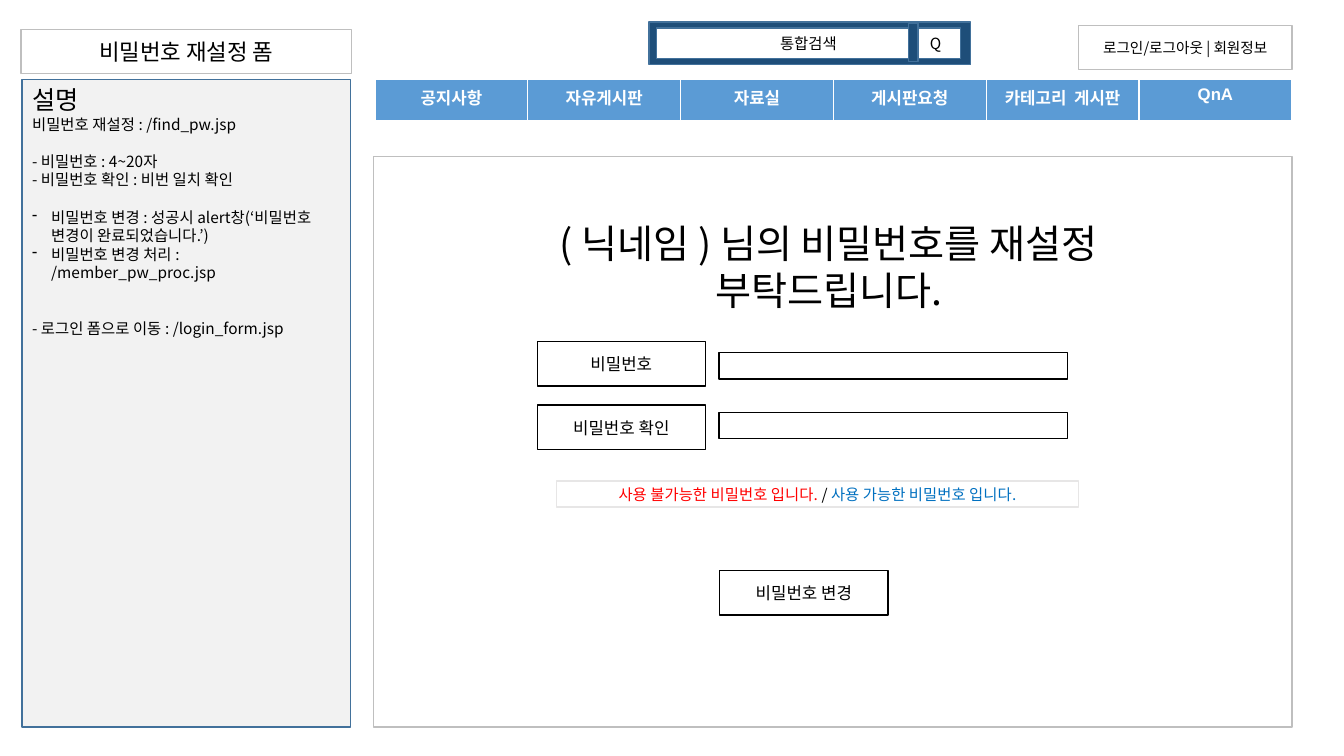
from lxml.etree import SubElement
from pptx import Presentation
from pptx.dml.color import RGBColor
from pptx.enum.shapes import MSO_SHAPE
from pptx.enum.text import MSO_ANCHOR, PP_ALIGN
from pptx.oxml.ns import qn
from pptx.util import Cm, Pt

COLORS = {
    "white": "FFFFFF", "black": "000000", "panel": "F2F2F2",
    "grey": "BFBFBF", "pale": "E7E6E6", "navy": "1E4E79",
    "outline": "42719B", "menu": "5B9BD5", "error": "FF0000", "ok": "0070C0",
}
FONT = "Noto Sans CJK KR"
BLANK_LINE = 13.3  # height of one line of 11 pt text, in points

MENU = ["공지사항", "자유게시판", "자료실", "게시판요청", "카테고리  게시판", "QnA"]
FIELDS = ["비밀번호", "비밀번호 확인"]
MESSAGE = [
    ("사용 불가능한 비밀번호 입니다. ", "error"),
    ("/ ", "black"),
    ("사용 가능한 비밀번호 입니다.", "ok"),
]
# text, size, blank lines above, bulleted
NOTES = [
    ("설명", 18, 0, False),
    ("비밀번호 재설정 : /find_pw.jsp", 11, 0, False),
    ("- 비밀번호 : 4~20자", 11, 1, False),
    ("- 비밀번호 확인 : 비번 일치 확인", 11, 0, False),
    ("비밀번호 변경 : 성공시 alert창(‘비밀번호 변경이 완료되었습니다.’)", 11, 1, True),
    ("비밀번호 변경 처리 : /member_pw_proc.jsp", 11, 0, True),
    ("- 로그인 폼으로 이동 : /login_form.jsp", 11, 2, False),
]


def color(name):
    return RGBColor.from_string(COLORS[name])


def style_span(span, size, ink="black", font=FONT, bold=False):
    span.font.size = Pt(size)
    span.font.name = font
    span.font.bold = bold
    span.font.color.rgb = color(ink)
    SubElement(span.font._element, qn("a:ea")).set("typeface", FONT)


def style_para(para, size, align=PP_ALIGN.CENTER, **look):
    para.alignment = align
    for span in para.runs:
        style_span(span, size, **look)


def add_box(shapes, box, fill="white", line="black", text="", size=12):
    shape = shapes.add_shape(MSO_SHAPE.RECTANGLE, *map(Cm, box))
    shape.shadow.inherit = False
    shape.fill.solid()
    shape.fill.fore_color.rgb = color(fill)
    shape.line.color.rgb = color(line)
    shape.line.width = Pt(1)
    if text:
        shape.text_frame.text = text
        shape.text_frame.vertical_anchor = MSO_ANCHOR.MIDDLE
        style_para(shape.text_frame.paragraphs[0], size)
    return shape


def add_label(shapes, box, text, size):
    label = shapes.add_textbox(*map(Cm, box))
    label.text_frame.word_wrap = True
    label.text_frame.text = text
    style_para(label.text_frame.paragraphs[0], size)
    return label


def add_search(page, box):
    left, top, width, height = box
    shapes = page.shapes.add_group_shape().shapes
    add_box(shapes, box, "navy", "outline")
    add_box(shapes, (left + 0.18, top + 0.15, width - 0.43, height - 0.31),
            line="outline", text="통합검색", size=11)
    add_box(shapes, (left + 6.53, top + 0.02, 0.25, height - 0.1), "navy", "outline")
    button = add_label(shapes, (left + 6.6, top + 0.02, 1.24, 1.02), "Q", 11)
    button.text_frame.vertical_anchor = MSO_ANCHOR.MIDDLE


def add_menu(page, box):
    table = page.shapes.add_table(1, len(MENU), *map(Cm, box)).table
    table.horz_banding = False
    for cell, column, text in zip(table.rows[0].cells, table.columns, MENU):
        column.width = Cm(box[2] / len(MENU))
        cell.fill.solid()
        cell.fill.fore_color.rgb = color("menu")
        cell.text_frame.text = text
        style_para(cell.text_frame.paragraphs[0], 12, ink="white", font="Arial", bold=True)


def add_dash(para):
    properties = para._p.get_or_add_pPr()
    properties.set("marL", str(Cm(0.48)))
    properties.set("indent", str(Cm(-0.48)))
    SubElement(properties, qn("a:buChar")).set("char", "-")


def add_notes(page, box):
    frame = add_box(page.shapes, box, "panel", "outline").text_frame
    frame.vertical_anchor = MSO_ANCHOR.TOP
    frame.text = "\n".join(text for text, *_ in NOTES)
    for para, (_, size, blanks, bulleted) in zip(frame.paragraphs, NOTES):
        style_para(para, size, PP_ALIGN.LEFT)
        para.space_before = Pt(blanks * BLANK_LINE)
        if bulleted:
            add_dash(para)


def add_reset_form(page, box):
    left, top = box[:2]
    shapes = page.shapes
    add_box(shapes, box, line="grey")
    add_label(shapes, (left + 3.74, top + 1.47, 15.44, 2.64),
              "( 닉네임 ) 님의 비밀번호를 재설정 부탁드립니다.", 28)

    # Field names and inputs
    for row, name in enumerate(FIELDS):
        add_box(shapes, (left + 4.12, top + 4.67 + 1.6 * row, 4.24, 1.12), text=name)
        add_box(shapes, (left + 8.7, top + 4.95 + 1.5 * row, 8.79, 0.66))

    # Validation message
    message = add_box(shapes, (left + 4.6, top + 8.18, 13.16, 0.66), line="pale")
    message.text_frame.vertical_anchor = MSO_ANCHOR.MIDDLE
    para = message.text_frame.paragraphs[0]
    para.alignment = PP_ALIGN.CENTER
    for text, ink in MESSAGE:
        span = para.add_run()
        span.text = text
        style_span(span, 11, ink)

    # Submit button
    add_box(shapes, (left + 8.72, top + 10.44, 4.24, 1.12), text="비밀번호 변경")


def main():
    deck = Presentation()
    deck.slide_width, deck.slide_height = Cm(33.87), Cm(19.05)
    page = deck.slides.add_slide(deck.slide_layouts[6])

    # Header
    add_box(page.shapes, (27.18, 0.64, 5.38, 1.12), line="grey",
            text="로그인/로그아웃 | 회원정보", size=10.5)
    add_search(page, (16.36, 0.56, 8.1, 1.07))
    add_menu(page, (9.45, 2.01, 23.11, 1.04))

    # Description column
    add_box(page.shapes, (0.53, 0.74, 8.33, 1.12), line="grey",
            text="비밀번호 재설정 폼", size=16)
    add_notes(page, (0.56, 2.01, 8.28, 16.31))

    # Main area
    add_reset_form(page, (9.42, 3.94, 23.14, 14.38))
    deck.save("out.pptx")


if __name__ == "__main__":
    main()
